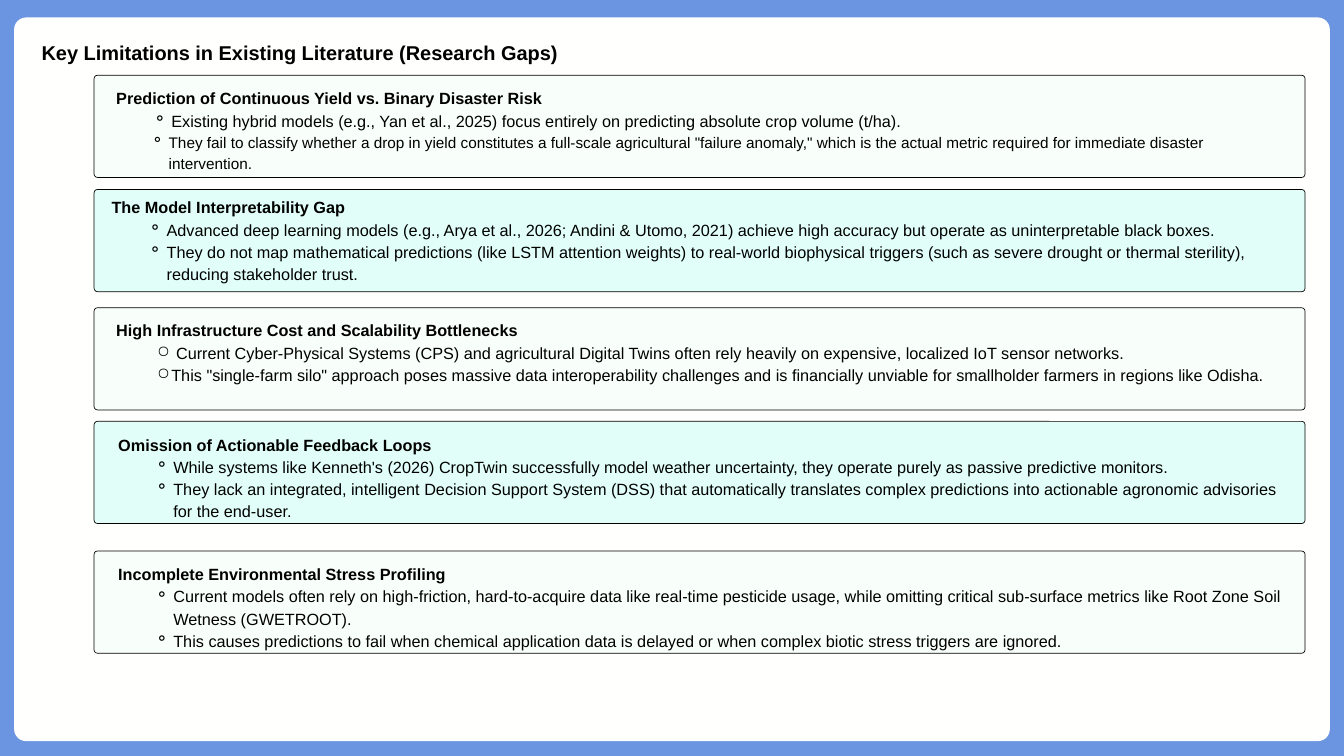
import pptx
import pptx.dml.color
import pptx.enum.shapes
import pptx.enum.text
import pptx.oxml.ns
import pptx.util
from lxml import etree
from pptx.util import Inches

COLORS = {"border": "6B95E0", "panel": "FFFFFE", "mint": "F8FFFB", "aqua": "E1FFF8", "ink": "000000"}
BODY_SIZE = 17.4
BODY_SPACING = 23.8


def add_card(slide, left, top, width, height, radius, color):
    shape = slide.shapes.add_shape(
        pptx.enum.shapes.MSO_SHAPE.ROUNDED_RECTANGLE,
        Inches(left), Inches(top), Inches(width), Inches(height))
    shape.adjustments[0] = radius / height
    shape.shadow.inherit = False
    shape.fill.solid()
    shape.fill.fore_color.rgb = pptx.dml.color.RGBColor.from_string(COLORS[color])
    shape.line.fill.background()
    return shape


def format_paragraph(paragraph, size, spacing, bold=False, bullet=None, margin=0, hanging=0):
    if bullet:
        properties = paragraph._p.get_or_add_pPr()
        properties.set("marL", str(Inches(margin)))
        properties.set("indent", str(-Inches(hanging)))
        etree.SubElement(properties, pptx.oxml.ns.qn("a:buChar")).set("char", bullet)
    paragraph.line_spacing = pptx.util.Pt(spacing)
    paragraph.space_before = pptx.util.Pt(0)
    paragraph.font.name = "Arial"
    paragraph.font.size = pptx.util.Pt(size)
    paragraph.font.bold = bold
    paragraph.font.color.rgb = pptx.dml.color.RGBColor.from_string(COLORS["ink"])


presentation = pptx.Presentation()
presentation.slide_width = Inches(20)
presentation.slide_height = Inches(11.25)
slide = presentation.slides.add_slide(presentation.slide_layouts[5])
slide.background.fill.solid()
slide.background.fill.fore_color.rgb = pptx.dml.color.RGBColor.from_string(COLORS["border"])

panel = add_card(slide, 0.21, 0.26, 19.58, 10.77, 0.18, "panel")

title = slide.shapes.title
panel._element.addnext(title._element)
title.left, title.top, title.width, title.height = Inches(0.21), Inches(0.55), Inches(8.5), Inches(0.4)
title.text = "Key Limitations in Existing Literature (Research Gaps)"
frame = title.text_frame
frame.margin_left = frame.margin_top = frame.margin_right = frame.margin_bottom = 0
frame.vertical_anchor = pptx.enum.text.MSO_ANCHOR.TOP
frame.auto_size = pptx.enum.text.MSO_AUTO_SIZE.NONE
frame.word_wrap = True
frame.paragraphs[0].alignment = pptx.enum.text.PP_ALIGN.CENTER
format_paragraph(frame.paragraphs[0], 21.4, 29.2, bold=True)

standard = ("⚬", 0.82, 0.27, BODY_SIZE, BODY_SPACING)
compact = ("⚬", 0.78, 0.26, 16.4, 22.4)
circle_wide = ("○", 0.89, 0.28, BODY_SIZE, BODY_SPACING)
circle_narrow = ("○", 0.82, 0.21, BODY_SIZE, BODY_SPACING)

gaps = [
    (1.12, 1.73, 1.28, 17.5, "Prediction of Continuous Yield vs. Binary Disaster Risk", [
        (standard, "Existing hybrid models (e.g., Yan et al., 2025) focus entirely on predicting absolute crop volume (t/ha)."),
        (compact, "They fail to classify whether a drop in yield constitutes a full-scale agricultural \"failure anomaly,\" "
                  "which is the actual metric required for immediate disaster intervention."),
    ]),
    (2.82, 1.66, 2.9, 17.5, "The Model Interpretability Gap", [
        (standard, "Advanced deep learning models (e.g., Arya et al., 2026; Andini & Utomo, 2021) achieve high accuracy "
                   "but operate as uninterpretable black boxes."),
        (standard, "They do not map mathematical predictions (like LSTM attention weights) to real-world biophysical "
                   "triggers (such as severe drought or thermal sterility), reducing stakeholder trust."),
    ]),
    (4.58, 1.73, 4.73, 17.5, "High Infrastructure Cost and Scalability Bottlenecks", [
        (circle_wide, "Current Cyber-Physical Systems (CPS) and agricultural Digital Twins often rely heavily on "
                      "expensive, localized IoT sensor networks."),
        (circle_narrow, "This \"single-farm silo\" approach poses massive data interoperability challenges and is "
                        "financially unviable for smallholder farmers in regions like Odisha."),
    ]),
    (6.27, 1.76, 6.43, 17.46, "Omission of Actionable Feedback Loops", [
        (standard, "While systems like Kenneth's (2026) CropTwin successfully model weather uncertainty, they operate "
                   "purely as passive predictive monitors."),
        (standard, "They lack an integrated, intelligent Decision Support System (DSS) that automatically translates "
                   "complex predictions into actionable agronomic advisories for the end-user."),
    ]),
    (8.2, 1.76, 8.36, 17.46, "Incomplete Environmental Stress Profiling", [
        (standard, "Current models often rely on high-friction, hard-to-acquire data like real-time pesticide usage, "
                   "while omitting critical sub-surface metrics like Root Zone Soil Wetness (GWETROOT)."),
        (standard, "This causes predictions to fail when chemical application data is delayed or when complex biotic "
                   "stress triggers are ignored."),
    ]),
]

for index, (card_top, text_left, text_top, text_width, heading, points) in enumerate(gaps):
    card = add_card(slide, 1.4, card_top, 18.02, 1.52, 0.05, ("mint", "aqua")[index % 2])
    card.line.color.rgb = pptx.dml.color.RGBColor.from_string(COLORS["ink"])
    card.line.width = pptx.util.Pt(0.75)

    text_box = slide.shapes.add_textbox(Inches(text_left), Inches(text_top), Inches(text_width), Inches(1.27))
    frame = text_box.text_frame
    frame.margin_left = frame.margin_top = frame.margin_right = frame.margin_bottom = 0
    frame.word_wrap = True
    frame.text = heading
    format_paragraph(frame.paragraphs[0], BODY_SIZE, BODY_SPACING, bold=True)
    for (bullet, margin, hanging, size, spacing), text in points:
        paragraph = frame.add_paragraph()
        paragraph.text = text
        paragraph.level = 1
        format_paragraph(paragraph, size, spacing, bullet=bullet, margin=margin, hanging=hanging)

presentation.save("out.pptx")
